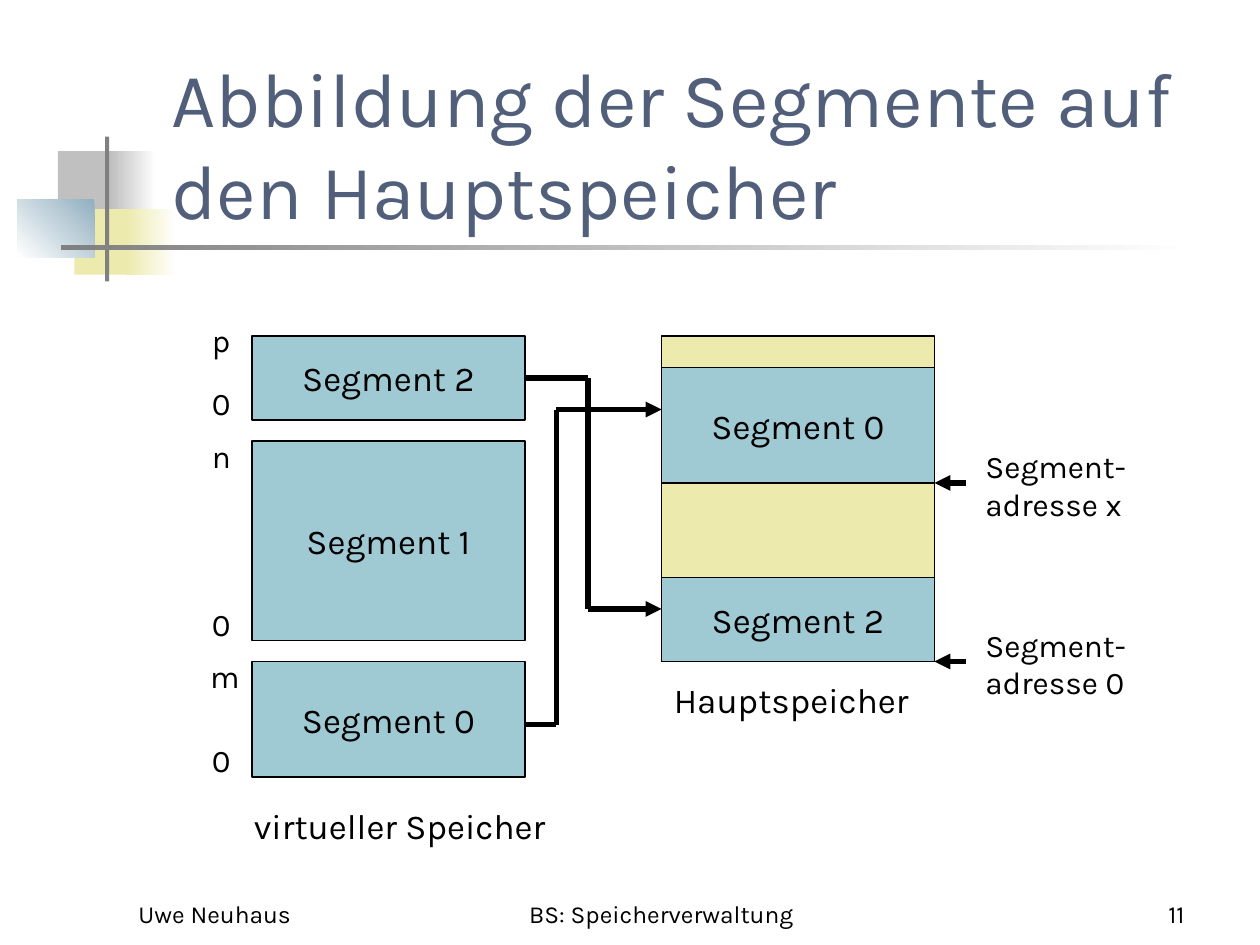
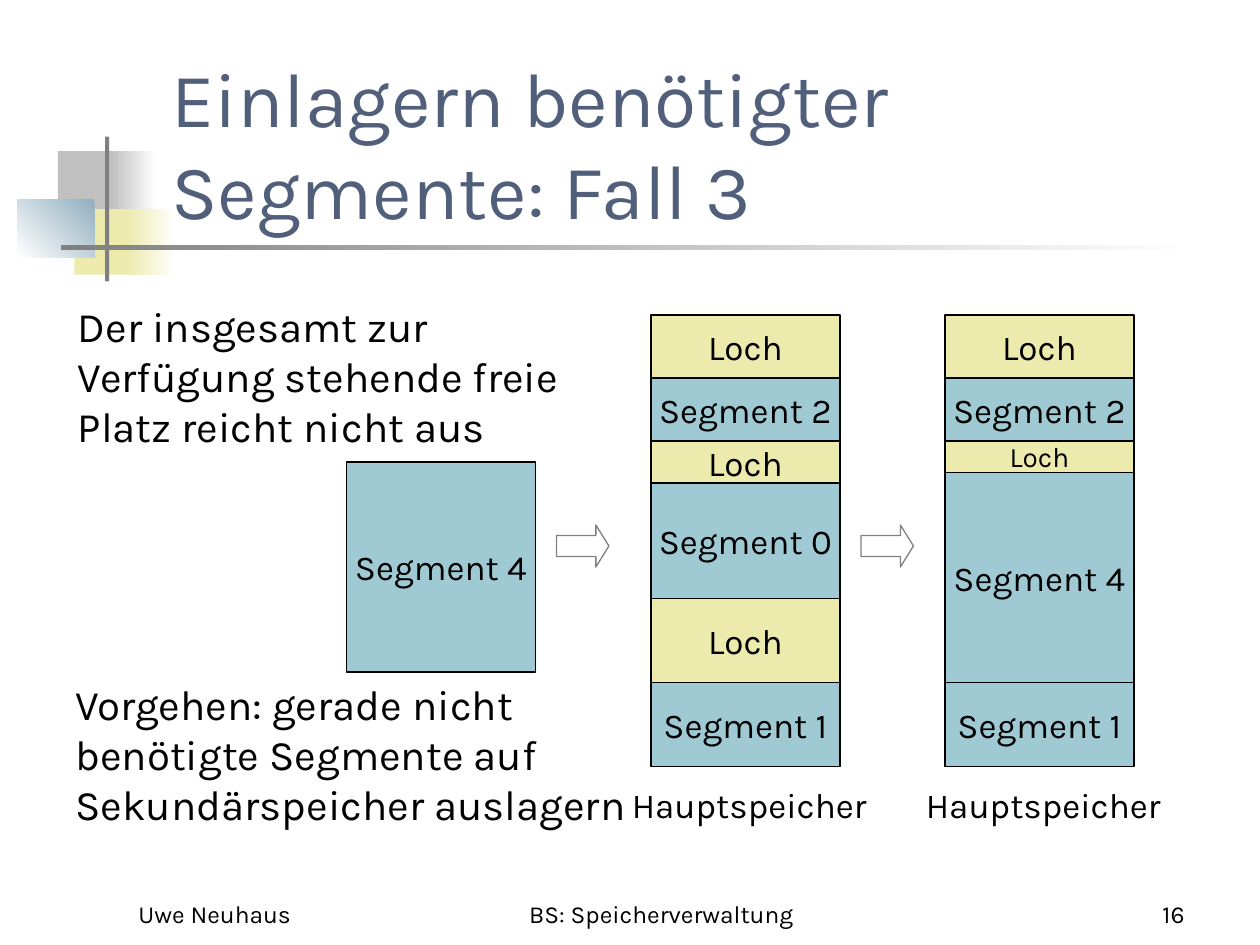
"""Build two slides on mapping memory segments to main memory."""
from itertools import pairwise

from lxml.etree import SubElement
from pptx import Presentation
from pptx.dml.color import RGBColor
from pptx.enum.shapes import MSO_CONNECTOR as Connector, MSO_SHAPE as Shape
from pptx.enum.text import MSO_ANCHOR as Anchor, MSO_AUTO_SIZE as AutoSize, PP_ALIGN as Align
from pptx.oxml.ns import qn
from pptx.util import Pt

FONT = "Karla"
BLACK = RGBColor(0x00, 0x00, 0x00)
WHITE = RGBColor(0xFF, 0xFF, 0xFF)
GRAY = RGBColor(0x80, 0x80, 0x80)
SILVER = RGBColor(0xC0, 0xC0, 0xC0)
STEEL = RGBColor(0x91, 0xAF, 0xBF)
YELLOW = RGBColor(0xEC, 0xEA, 0xAC)
BLUE = RGBColor(0x9F, 0xCA, 0xD3)
TITLE_COLOR = RGBColor(0x51, 0x5F, 0x7B)

# (left, top, width, height), colour, angle of the fade to white or None
DECORATION = [
    ((33.1, 86.4, 34.6, 37.4), SILVER, None),
    ((63.4, 86.4, 25.9, 37.4), SILVER, 0),
    ((42.5, 119.5, 33.1, 37.4), YELLOW, None),
    ((72, 119.5, 28.8, 37.4), YELLOW, 0),
    ((10, 113.8, 44, 33.1), STEEL, 225),
    ((60, 78, 2.4, 82.8), GRAY, None),
    ((34.8, 140.2, 648, 2.4), GRAY, 0),
]
TITLE_BOX = (90.7, 48, 613.4, 90)
AUTHOR, TOPIC = "Uwe Neuhaus", "BS: Speicherverwaltung"
FOOTER_TOP, FOOTER_HEIGHT = 498, 36

MAPPING_TITLE = "Abbildung der Segmente auf den Hauptspeicher"
VIRTUAL_LEFT, MAIN_LEFT, MEMORY_WIDTH = 144, 378, 156
MAIN_TOP, MAIN_HEIGHT = 192, 186
# name, top, height, (upper limit, left, top, width)
VIRTUAL_SEGMENTS = [
    ("Segment 2", 192, 48, ("p", 114, 180, 25)),
    ("Segment 1", 252, 114, ("n", 114, 246, 25)),
    ("Segment 0", 378, 66, ("m", 113, 372, 31)),
]
# name, top, height, address
MAIN_SEGMENTS = [("Segment 2", 330, 48, "0"), ("Segment 0", 210, 66, "x")]
ROUTES = {
    "Segment 0": [(300, 414), (318, 414), (318, 234), (378, 234)],
    "Segment 2": [(300, 216), (336, 216), (336, 348), (378, 348)],
}
MAPPING_CAPTIONS = [("Hauptspeicher", 378, 384, 152), ("virtueller Speicher", 138, 456, 185)]

SWAP_TITLE = "Einlagern benötigter Segmente: Fall 3"
SWAP_TEXTS = [
    ("Der insgesamt zur\vVerfügung stehende freie\vPlatz reicht nicht aus", 37.4, 168, 303),
    ("Vorgehen: gerade nicht\vbenötigte Segmente auf\vSekundärspeicher auslagern", 36, 384, 336),
]
COLUMN_TOP, COLUMN_WIDTH = 180, 108
NEW_SEGMENT = ("Segment 4", 120)
# left, blocks from top to bottom
COLUMNS = [
    (372, [("Loch", 36), ("Segment 2", 36), ("Loch", 24), ("Segment 0", 66),
           ("Loch", 48), ("Segment 1", 48)]),
    (540, [("Loch", 36), ("Segment 2", 36), ("Loch", 18), NEW_SEGMENT, ("Segment 1", 48)]),
]
ARROW_LEFTS = (318, 492)


def set_text(frame, text, size, color=BLACK, align=Align.LEFT, anchor=Anchor.TOP):
    """Fill a text frame and format all its paragraphs alike."""
    frame.text = text
    frame.vertical_anchor = anchor
    for paragraph in frame.paragraphs:
        paragraph.alignment = align
        paragraph.font.name = FONT
        paragraph.font.size = Pt(size)
        paragraph.font.color.rgb = color


def add_block(slide, box, fill, line=None, kind=Shape.RECTANGLE):
    """Add a flat filled shape with an optional thin outline."""
    shape = slide.shapes.add_shape(kind, *map(Pt, box))
    shape.shadow.inherit = False
    shape.fill.solid()
    shape.fill.fore_color.rgb = fill
    if line is None:
        shape.line.fill.background()
    else:
        shape.line.color.rgb = line
        shape.line.width = Pt(0.75)
    return shape


def add_memory(slide, name, left, top, width, height):
    """Add a named stretch of memory, yellow if it is free."""
    fill = YELLOW if name == "Loch" else BLUE
    shape = add_block(slide, (left, top, width, height), fill, BLACK)
    size = 16 if height < 20 else 20
    set_text(shape.text_frame, name, size, align=Align.CENTER, anchor=Anchor.MIDDLE)
    shape.text_frame.word_wrap = False
    return shape


def add_label(slide, text, left, top, width, size):
    """Add an unwrapped text box that fits its lines."""
    lines = len(text.splitlines())
    box = (left, top, width, 7.2 + 1.2 * size * lines)
    frame = slide.shapes.add_textbox(*map(Pt, box)).text_frame
    set_text(frame, text, size)
    frame.word_wrap = False
    frame.auto_size = AutoSize.SHAPE_TO_FIT_TEXT


def add_line(slide, start, end, arrow=False):
    """Add a thick straight line, with an arrowhead if wanted."""
    line = slide.shapes.add_connector(Connector.STRAIGHT, *map(Pt, start + end))
    line.line.color.rgb = BLACK
    line.line.width = Pt(3)
    properties = line.element.spPr
    if arrow:
        SubElement(properties.find(qn("a:ln")), qn("a:tailEnd"), type="triangle")
    SubElement(properties, qn("a:effectLst"))
    return line


def add_base(presentation, title_text, number):
    """Add a slide with decoration, title and footer."""
    slide = presentation.slides.add_slide(presentation.slide_layouts[5])
    for box, color, angle in DECORATION:
        shape = add_block(slide, box, color)
        if angle is not None:
            shape.fill.gradient()
            shape.fill.gradient_angle = angle
            for stop, stop_color in zip(shape.fill.gradient_stops, (color, WHITE)):
                stop.color.rgb = stop_color

    title = slide.shapes.title
    title.element.getparent().append(title.element)
    title.left, title.top, title.width, title.height = map(Pt, TITLE_BOX)
    set_text(title.text_frame, title_text, 44, TITLE_COLOR, anchor=Anchor.BOTTOM)
    title.text_frame.auto_size = AutoSize.NONE

    footer = [(AUTHOR, 72, 150, Align.LEFT), (TOPIC, 264, 228, Align.CENTER),
              (str(number), 534, 150, Align.RIGHT)]
    for text, left, width, align in footer:
        box = (left, FOOTER_TOP, width, FOOTER_HEIGHT)
        frame = slide.shapes.add_textbox(*map(Pt, box)).text_frame
        set_text(frame, text, 14, align=align, anchor=Anchor.BOTTOM)
        frame.word_wrap = True
    return slide


def build_mapping(presentation):
    """Show how virtual segments map to main memory."""
    slide = add_base(presentation, MAPPING_TITLE, 11)
    virtual = {}
    for name, top, height, (limit, left, limit_top, width) in VIRTUAL_SEGMENTS:
        virtual[name] = add_memory(slide, name, VIRTUAL_LEFT, top, MEMORY_WIDTH, height)
        add_label(slide, limit, left, limit_top, width, 18)
        add_label(slide, "0", 114, top + height - 24, 25, 18)

    add_block(slide, (MAIN_LEFT, MAIN_TOP, MEMORY_WIDTH, MAIN_HEIGHT), YELLOW, BLACK)
    main_right = MAIN_LEFT + MEMORY_WIDTH
    for name, top, height, address in MAIN_SEGMENTS:
        add_memory(slide, name, MAIN_LEFT, top, MEMORY_WIDTH, height)
        bottom = top + height
        add_line(slide, (main_right + 18, bottom), (main_right, bottom), arrow=True)
        add_label(slide, f"Segment-\nadresse {address}", main_right + 22, bottom - 24, 96, 18)

    for name, points in ROUTES.items():
        lines = [add_line(slide, start, end, arrow=end == points[-1])
                 for start, end in pairwise(points)]
        if name == "Segment 2":
            lines[0].begin_connect(virtual[name], 3)
    for caption in MAPPING_CAPTIONS:
        add_label(slide, *caption, 20)


def build_swap(presentation):
    """Show a segment being loaded after another is swapped out."""
    slide = add_base(presentation, SWAP_TITLE, 16)
    for text in SWAP_TEXTS:
        add_label(slide, *text, 24)
    name, height = NEW_SEGMENT
    add_memory(slide, name, 198, 264, COLUMN_WIDTH, height)
    for left, blocks in COLUMNS:
        top = COLUMN_TOP
        for name, height in blocks:
            add_memory(slide, name, left, top, COLUMN_WIDTH, height)
            top += height
        add_label(slide, "Hauptspeicher", left - 18, top + 6, 152, 20)
    for left in ARROW_LEFTS:
        arrow = add_block(slide, (left, 300, 30, 24), WHITE, GRAY, Shape.RIGHT_ARROW)
        arrow.adjustments[1] = 0.31


def main():
    """Build and save the presentation."""
    presentation = Presentation()
    presentation.slide_width, presentation.slide_height = Pt(720), Pt(540)
    build_mapping(presentation)
    build_swap(presentation)
    presentation.save("out.pptx")


if __name__ == "__main__":
    main()
